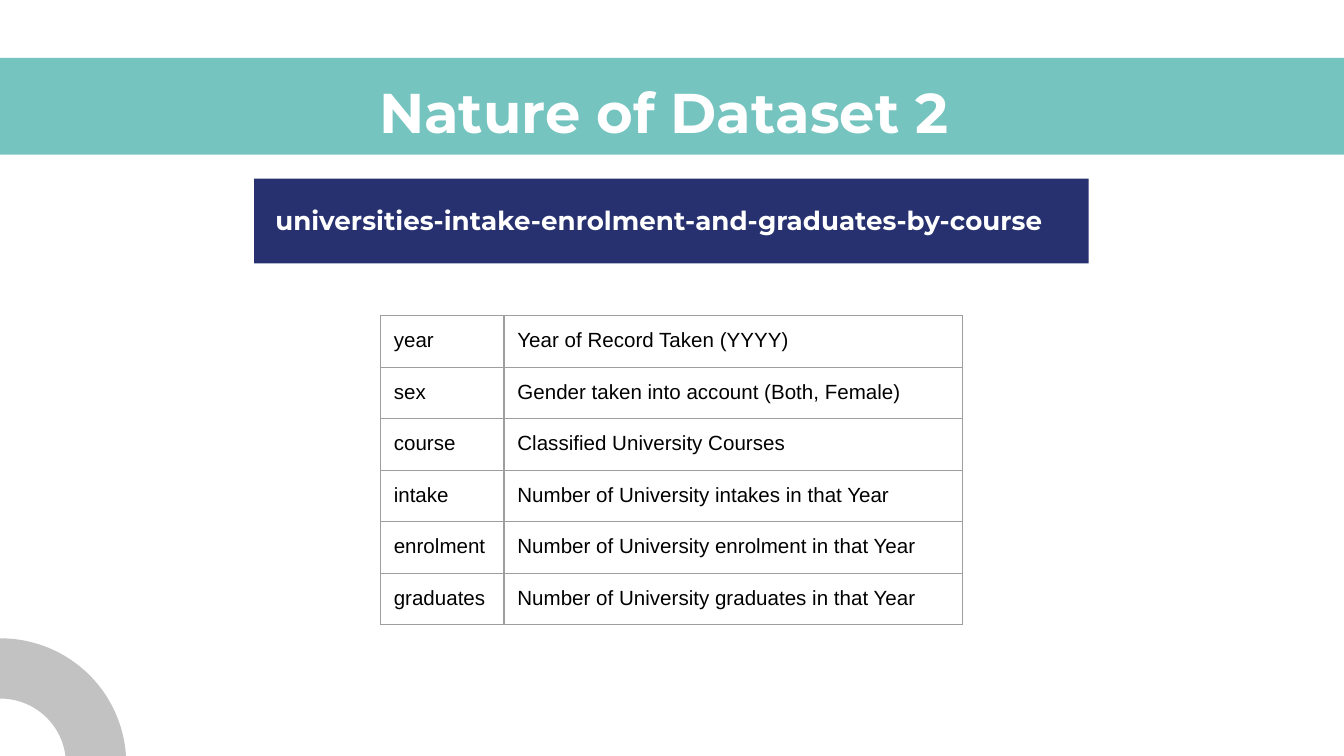
from pptx import Presentation
from pptx import util as u
from pptx.dml.color import RGBColor
from pptx.enum import shapes, text
from pptx.oxml import parse_xml
from pptx.oxml.ns import nsdecls

COLORS = {"teal": "75C4C0", "grey": "C2C2C2", "navy": "27316F",
          "white": "FFFFFF", "black": "000000", "border": "9E9E9E"}
FIELDS = [
    ("year", "Year of Record Taken (YYYY)"),
    ("sex", "Gender taken into account (Both, Female)"),
    ("course", "Classified University Courses"),
    ("intake", "Number of University intakes in that Year"),
    ("enrolment", "Number of University enrolment in that Year"),
    ("graduates", "Number of University graduates in that Year"),
]
COLUMN_WIDTHS = (0.92, 3.41)
ROW_HEIGHT = 2.3 / len(FIELDS)
INSET = u.Inches(0.1)

# A 16:9 page
deck = Presentation()
deck.slide_width, deck.slide_height = u.Inches(10), u.Inches(10 * 9 / 16)
page = deck.slides.add_slide(deck.slide_layouts[5])


def add_block(kind, color, *place):
    block = page.shapes.add_shape(kind, *map(u.Inches, place))
    block.shadow.inherit = False
    block.fill.solid()
    block.fill.fore_color.rgb = RGBColor.from_string(COLORS[color])
    block.line.fill.background()
    return block


def write(frame, words, size, font, color, bold):
    frame.text = words
    para = frame.paragraphs[0]
    para.alignment = text.PP_ALIGN.LEFT
    span = para.runs[0].font
    span.size, span.name, span.bold = u.Pt(size), font, bold
    span.color.rgb = RGBColor.from_string(COLORS[color])


# Title band and corner arc
add_block(shapes.MSO_SHAPE.RECTANGLE, "teal", -0.17, 0.43, 10.34, 0.72)
arc = add_block(shapes.MSO_SHAPE.BLOCK_ARC, "grey", -0.93, 4.75, 1.87, 1.87)
for index, value in enumerate((161.65, 0.69, 0.24)):
    arc.adjustments[index] = value

# Dataset name banner
banner = add_block(shapes.MSO_SHAPE.ROUND_1_RECTANGLE, "navy", 1.89, 1.33, 6.21, 0.63)
banner.adjustments[0] = 0

# Title and dataset name
title = page.shapes.title
title.left, title.top, title.width, title.height = map(u.Inches, (2.72, 0.48, 4.55, 0.63))
page.shapes._spTree.append(title._element)  # bring the title in front of its band
name = page.shapes.add_textbox(*map(u.Inches, (1.95, 1.42, 6.15, 0.44)))
for box, words, size in (
    (title, "Nature of Dataset 2", 30),
    (name, "universities-intake-enrolment-and-graduates-by-course", 14),
):
    frame = box.text_frame
    frame.word_wrap = True
    frame.auto_size = text.MSO_AUTO_SIZE.NONE
    frame.vertical_anchor = text.MSO_ANCHOR.TOP
    frame.margin_left = frame.margin_right = frame.margin_top = frame.margin_bottom = INSET
    write(frame, words, size, "Montserrat", "white", True)

# Field table
table = page.shapes.add_table(
    len(FIELDS), len(COLUMN_WIDTHS), u.Inches(2.83), u.Inches(2.35),
    u.Inches(sum(COLUMN_WIDTHS)), u.Inches(ROW_HEIGHT * len(FIELDS))).table
table.first_row = table.horz_banding = False
for column, width in zip(table.columns, COLUMN_WIDTHS):
    column.width = u.Inches(width)
for row, field in zip(table.rows, FIELDS):
    row.height = u.Inches(ROW_HEIGHT)
    for cell, words in zip(row.cells, field):
        cell.margin_left = cell.margin_right = cell.margin_top = cell.margin_bottom = INSET
        write(cell.text_frame, words, 11, "Arial", "black", False)
        for side in ("lnL", "lnR", "lnT", "lnB"):
            cell._tc.get_or_add_tcPr().append(parse_xml(
                f'<a:{side} {nsdecls("a")} w="{u.Pt(0.75)}"><a:solidFill>'
                f'<a:srgbClr val="{COLORS["border"]}"/></a:solidFill></a:{side}>'))
        cell.fill.background()

deck.save("out.pptx")
